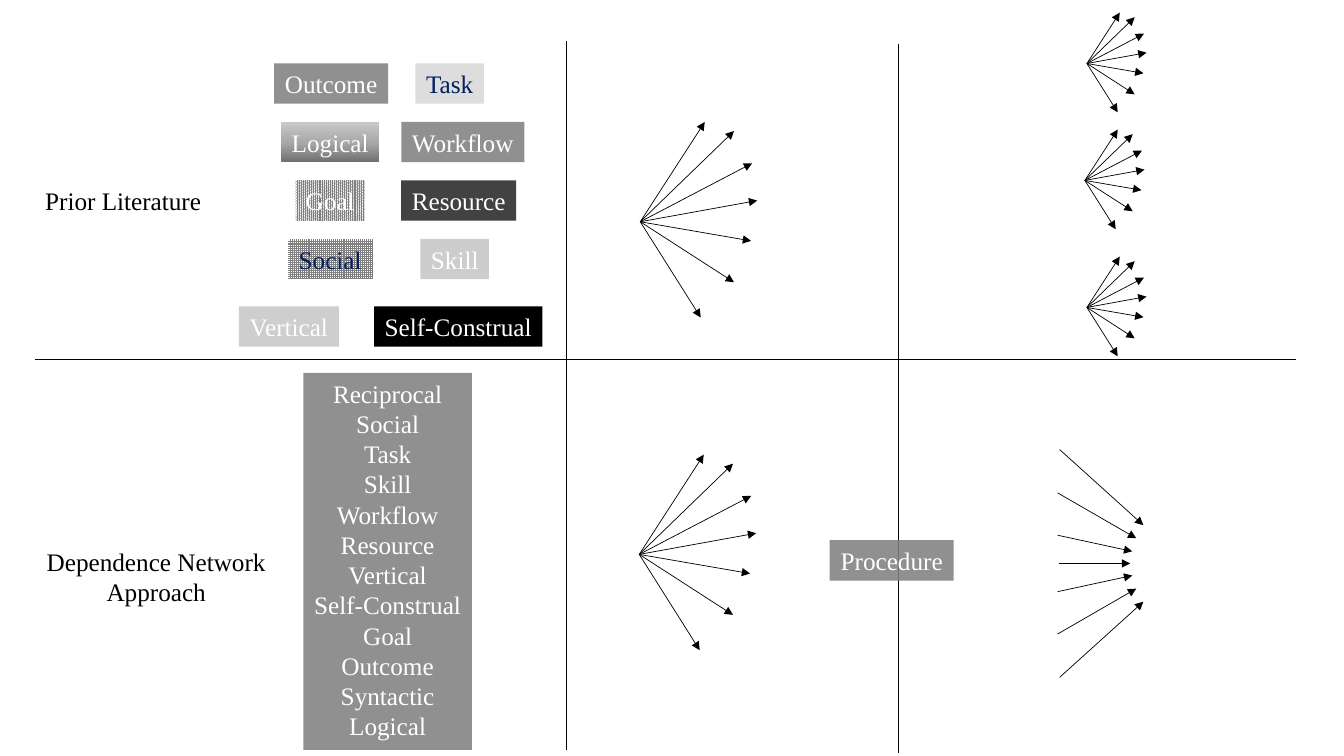
"""Build a slide comparing dependence types in prior literature and in a network approach."""
from copy import deepcopy

from lxml import etree
from pptx import Presentation, util as u
from pptx.dml.color import RGBColor
from pptx.enum import dml, shapes, text
from pptx.oxml import ns

WIDTH, HEIGHT = 13.33, 7.5
BLACK, WHITE, NAVY, GRAY = "000000", "FFFFFF", "002060", "808080"
ROW_TOPS = [0.63 + 0.58 * row for row in range(4)] + [3.04]
ROW_HEIGHT = 0.4
SOLID = (GRAY, 87)
PALE = (GRAY, 38)
GRADIENT = ((0, "6F6F6F"), (0.48, "A8A8A8"), (1, "C9C9C9"))

TYPE_ROWS = [
    [("Outcome", 2.72, 1.13, SOLID, WHITE), ("Task", 4.12, 0.68, ("D9D9D9", 87), NAVY)],
    [("Logical", 2.79, 0.97, GRADIENT, WHITE), ("Workflow", 3.98, 1.22, SOLID, WHITE)],
    [("Goal", 2.93, 0.69, dml.MSO_PATTERN.PERCENT_90, WHITE),
     ("Resource", 3.98, 1.14, ("262626", 87), WHITE)],
    [("Social", 2.86, 0.83, dml.MSO_PATTERN.SMALL_GRID, NAVY),
     ("Skill", 4.17, 0.68, (GRAY, 39), WHITE)],
    [("Vertical", 2.37, 0.99, PALE, WHITE),
     ("Self-Construal", 3.71, 1.67, (BLACK, 100), WHITE)],
]
NETWORK_TYPES = ["Reciprocal", "Social", "Task", "Skill", "Workflow", "Resource",
                 "Vertical", "Self-Construal", "Goal", "Outcome", "Syntactic", "Logical"]
ROW_LABELS = [(["Prior Literature"], (0.35, 1.79, 1.76, 0.4)),
              (["Dependence Network", "Approach"], (0.35, 5.37, 2.4, 0.71))]
DIVIDERS = [((0.35, 3.57), (12.85, 3.57)), ((5.62, 0.41), (5.62, 7.44)),
            ((8.91, 0.44), (8.91, 7.47))]

FAN_TIPS = [(0.64, -0.99), (0.93, -0.9), (1.11, -0.58), (1.16, -0.21),
            (1.1, 0.19), (0.93, 0.6), (0.6, 0.95)]
FANS = [(6.35, 2.2, 1), (6.34, 5.5, 1),
        (10.78, 0.63, 0.51), (10.76, 1.79, 0.51), (10.78, 3.05, 0.51)]
FUNNEL_MIDDLE = 5.59
FUNNEL_HALF = [(10.51, 1.13, 11.34, 0.38), (10.49, 0.7, 11.27, 0.25),
               (10.49, 0.28, 11.23, 0.12)]


def color(value):
    return RGBColor.from_string(value)


def apply_format(target, values):
    for name, value in values.items():
        setattr(target, name, value)


def add_line(container, start, end, arrow=False):
    points = [u.Inches(value) for value in (*start, *end)]
    line = container.add_connector(shapes.MSO_CONNECTOR.STRAIGHT, *points)
    line.line.color.rgb = color(BLACK)
    line.line.width = u.Pt(0.5)
    properties = line.element.spPr
    if arrow:
        outline = properties.find(ns.qn("a:ln"))
        etree.SubElement(outline, ns.qn("a:tailEnd"), type="triangle")
    etree.SubElement(properties, ns.qn("a:effectLst"))


def add_arrows(arrows):
    group = slide.shapes.add_group_shape()
    for start, end in arrows:
        add_line(group.shapes, start, end, arrow=True)


def write(shape, lines, font_color, alignment):
    frame = shape.text_frame
    apply_format(frame, {"word_wrap": False, "auto_size": text.MSO_AUTO_SIZE.SHAPE_TO_FIT_TEXT,
                         "vertical_anchor": text.MSO_ANCHOR.TOP})
    for index, line in enumerate(lines):
        paragraph = frame.add_paragraph() if index else frame.paragraphs[0]
        paragraph.alignment = alignment
        run = paragraph.add_run()
        run.text = line
        apply_format(run.font, {"name": "Times New Roman", "size": u.Pt(18)})
        run.font.color.rgb = color(font_color)


def paint(shape, style):
    fill = shape.fill
    if style is GRADIENT:
        fill.gradient()
        fill.gradient_angle = 90
        first = shape.element.spPr.find(".//" + ns.qn("a:gs"))
        first.addnext(deepcopy(first))
        for stop, (position, value) in zip(fill.gradient_stops, GRADIENT):
            stop.position = position
            stop.color.rgb = color(value)
    elif isinstance(style, dml.MSO_PATTERN):
        fill.patterned()
        fill.pattern = style
        fill.fore_color.rgb = color(GRAY)
        fill.back_color.rgb = color(WHITE)
    else:
        value, opacity = style
        fill.solid()
        fill.fore_color.rgb = color(value)
        if opacity < 100:
            solid = shape.element.spPr.find(".//" + ns.qn("a:srgbClr"))
            etree.SubElement(solid, ns.qn("a:alpha"), val=str(opacity * 1000))


def add_box(lines, place, style, font_color=WHITE):
    box = slide.shapes.add_shape(shapes.MSO_SHAPE.RECTANGLE, *map(u.Inches, place))
    box.shadow.inherit = False
    box.line.fill.background()
    paint(box, style)
    write(box, lines, font_color, text.PP_ALIGN.CENTER)


presentation = Presentation()
apply_format(presentation, {"slide_width": u.Inches(WIDTH), "slide_height": u.Inches(HEIGHT)})
slide = presentation.slides.add_slide(presentation.slide_layouts[6])

for start, end in DIVIDERS:
    add_line(slide.shapes, start, end)

for lines, place in ROW_LABELS:
    label = slide.shapes.add_textbox(*map(u.Inches, place))
    write(label, lines, BLACK, text.PP_ALIGN.CENTER if len(lines) > 1 else text.PP_ALIGN.LEFT)

for top, row in zip(ROW_TOPS, TYPE_ROWS):
    for name, left, width, style, font_color in row:
        add_box([name], (left, top, width, ROW_HEIGHT), style, font_color)
add_box(NETWORK_TYPES, (3.01, 3.7, 1.67, 3.74), SOLID)
add_box(["Procedure"], (8.23, 5.36, 1.23, ROW_HEIGHT), SOLID)

for x, y, scale in FANS:
    add_arrows([((x, y), (x + scale * across, y + scale * down)) for across, down in FAN_TIPS])

funnel = [((10.5, FUNNEL_MIDDLE), (11.21, FUNNEL_MIDDLE))]
for side in (-1, 1):
    funnel += [((x, FUNNEL_MIDDLE + side * spread), (tip, FUNNEL_MIDDLE + side * gap))
               for x, spread, tip, gap in FUNNEL_HALF]
add_arrows(funnel)

presentation.save("out.pptx")
